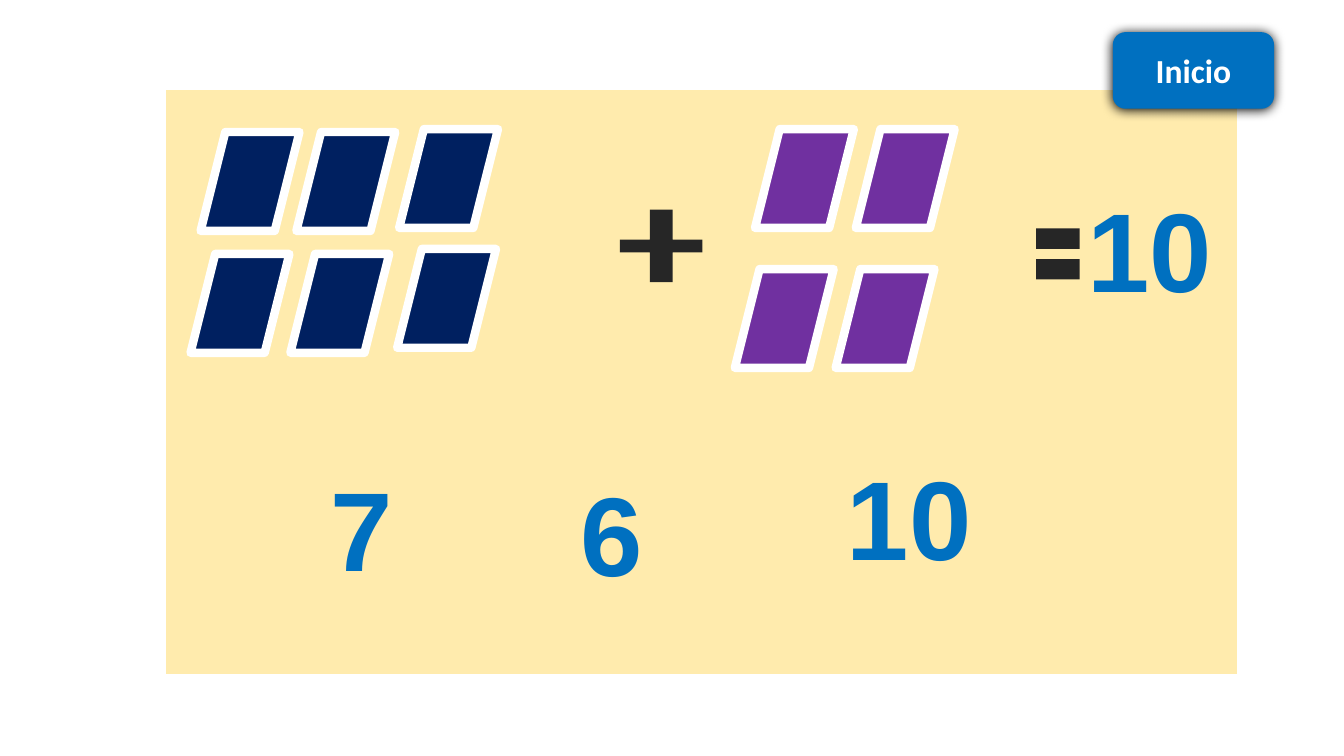
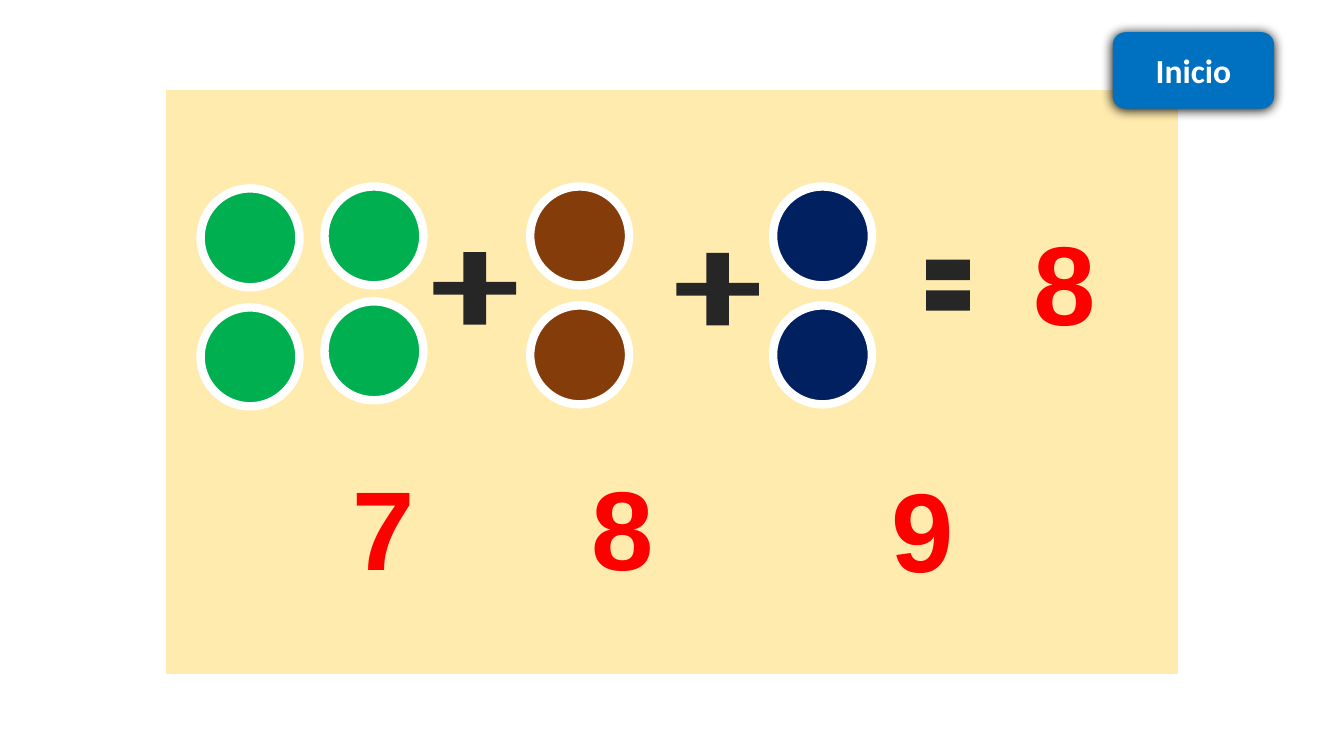
from pptx import Presentation
from pptx.dml.color import RGBColor
from pptx.enum.shapes import MSO_SHAPE as Kind
from pptx.enum.text import MSO_ANCHOR as Anchor, MSO_AUTO_SIZE as Auto, PP_ALIGN as Align
from pptx.oxml import parse_xml
from pptx.oxml.ns import nsdecls
from pptx.util import Pt

WHITE, BLUE, NAVY, DARK = "FFFFFF", "0070C0", "002060", "262626"
SIDE = 70.6                # width and height of one counter
PLUS = (59, 51.8)
EQUAL = (42.5, 61.9)
NARROW, HIGH = 118.1, 104.4    # box of a single digit

# Counters are (left, top, colour), signs (left, top), digits (text, left, top, width)
tasks = [
    {
        "panel": 769, "kind": Kind.PARALLELOGRAM, "ink": BLUE, "edge": "FFC000",
        "tiles": [(x, y, NAVY) for x, y in [
            (143.3, 94.3), (211.7, 94.3), (285.1, 92.2),
            (136.1, 181.4), (207.4, 181.4), (283.7, 177.8)]]
        + [(x + 72 * col, y, "7030A0")
           for x, y in [(539.3, 92.2), (524.9, 192.2)] for col in range(2)],
        "plus": [(442.8, 149.8)],
        "equal": (734.4, 150.5),
        "digits": [("10", 758.9, 125.3, 124.6), ("7", 199.4, 324.7, NARROW),
                   ("6", 378, 328.3, NARROW), ("10", 572.4, 316.8, 154.1)],
    },
    {
        "panel": 727.2, "kind": Kind.OVAL, "ink": "FF0000", "edge": "92D050",
        "tiles": [(x, y, tone) for x, rows, tone in [
            (143.3, (134.6, 219.6), "00B050"), (231.8, (133.2, 215.3), "00B050"),
            (378.7, (133.2, 218.2), "843C0B"), (552.2, (133.2, 218.2), NAVY)]
            for y in rows],
        "plus": [(309.6, 180), (483.1, 180.7)],
        "equal": (655.9, 172.8),
        "digits": [("8", 701.3, 149, NARROW), ("7", 215.3, 324, NARROW),
                   ("8", 385.9, 324, NARROW), ("9", 599.8, 325.4, NARROW)],
    },
]


def color(code):
    return RGBColor.from_string(code)


def draw(slide, kind, box, fill, line=0):
    shape = slide.shapes.add_shape(kind, *map(Pt, box))
    shape.shadow.inherit = False
    shape.fill.solid()
    shape.fill.fore_color.rgb = color(fill)
    if line:
        shape.line.color.rgb = color(WHITE)
        shape.line.width = Pt(line)
    else:
        shape.line.fill.background()
    return shape


deck = Presentation()
deck.slide_width, deck.slide_height = Pt(960), Pt(540)

for task in tasks:
    slide = deck.slides.add_slide(deck.slide_layouts[6])

    # Panel, slightly transparent
    panel = draw(slide, Kind.RECTANGLE, (116.6, 61.9, task["panel"], 421.9), "FFE699", 4.5)
    tint = panel.fill._xPr.find(".//{*}srgbClr")
    tint.append(parse_xml(f'<a:alpha {nsdecls("a")} val="80000"/>'))

    # Start button with a soft shadow
    button = draw(slide, Kind.ROUNDED_RECTANGLE, (794.9, 23, 115.2, 54.7), BLUE)
    button._element.spPr.find("{*}effectLst").append(parse_xml(
        f'<a:outerShdw {nsdecls("a")} blurRad="{Pt(8.5)}" dist="{Pt(1)}" '
        'dir="5400000" algn="ctr" rotWithShape="0"><a:srgbClr val="000000"/></a:outerShdw>'))
    frame = button.text_frame
    frame.vertical_anchor = Anchor.MIDDLE
    para = frame.paragraphs[0]
    para.text = "Inicio"
    para.alignment = Align.CENTER
    font = para.font
    font.name, font.size, font.bold = "Calibri", Pt(24), True
    font.color.rgb = color(WHITE)

    # Counters
    for x, y, tone in task["tiles"]:
        draw(slide, task["kind"], (x, y, SIDE, SIDE), tone, 6)

    # Signs
    for spot in task["plus"]:
        draw(slide, Kind.CROSS, spot + PLUS, DARK).adjustments[0] = 0.413
    draw(slide, Kind.MATH_EQUAL, task["equal"] + EQUAL, DARK)

    # Result and the three choices
    for text, x, y, wide in task["digits"]:
        frame = slide.shapes.add_textbox(Pt(x), Pt(y), Pt(wide), Pt(HIGH)).text_frame
        frame.word_wrap = True
        frame.auto_size = Auto.SHAPE_TO_FIT_TEXT
        para = frame.paragraphs[0]
        para.alignment = Align.CENTER
        run = para.add_run()
        run.text = text
        font = run.font
        font.name, font.size, font.bold = "Arial", Pt(80), True
        font.color.rgb = color(task["ink"])
        run._r.get_or_add_rPr().insert(0, parse_xml(
            f'<a:ln {nsdecls("a")} w="{Pt(4.5)}"><a:solidFill>'
            f'<a:srgbClr val="{task["edge"]}"/></a:solidFill></a:ln>'))

deck.save("out.pptx")
